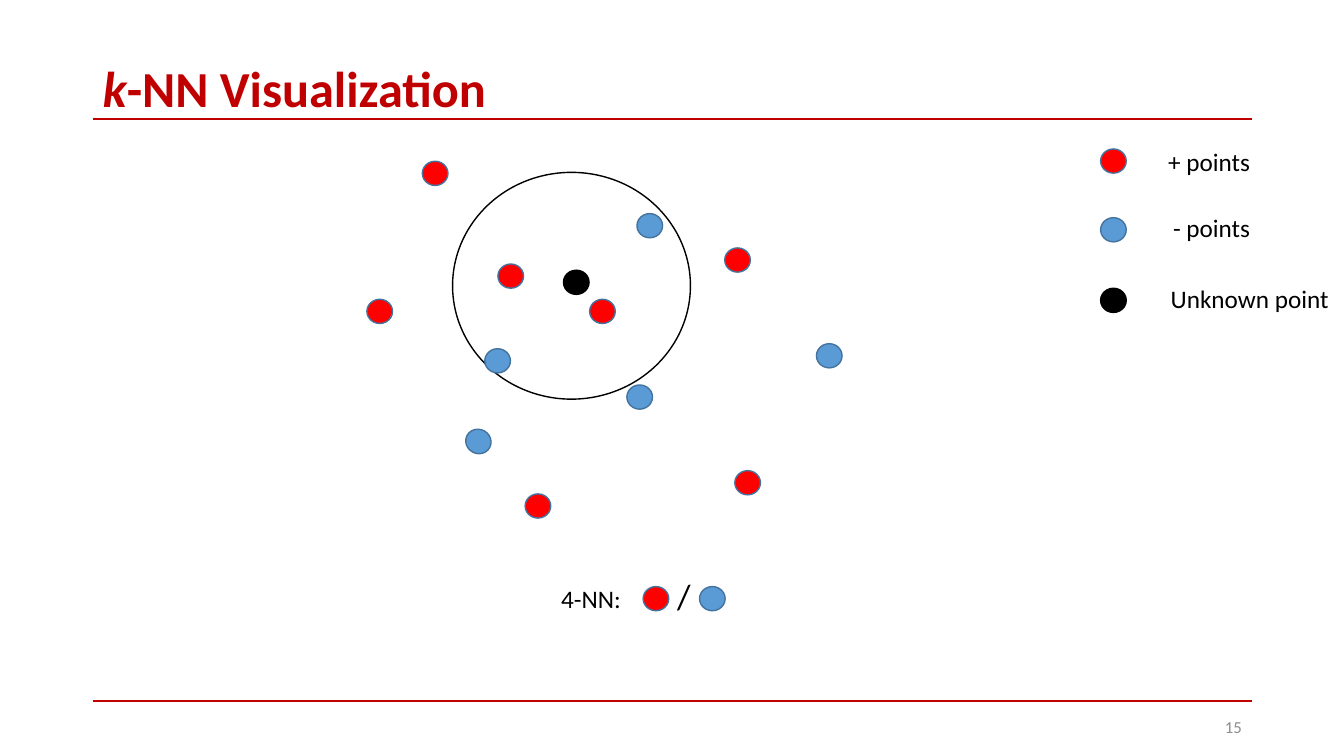
from pptx import Presentation
from pptx import util as u
from pptx.dml.color import RGBColor
from pptx.enum import shapes, text
from pptx.oxml.ns import qn
from lxml import etree

RED, BLUE, BLACK, OUTLINE, CRIMSON = "FF0000", "5B9BD5", "000000", "43739E", "C00000"


def paint(target, color):
    if hasattr(target, "solid"):
        target.solid()
        target.fore_color.rgb = RGBColor.from_string(color)
    else:
        target.rgb = RGBColor.from_string(color)


def add_label(page, bounds, runs, size, color, align, anchor):
    box = page.shapes.add_textbox(*[u.Pt(value) for value in bounds])
    box.text_frame.word_wrap = True
    box.text_frame.vertical_anchor = anchor
    para = box.text_frame.paragraphs[0]
    para.alignment = align
    for words in runs:
        para.add_run().text = words
    para.font.name = "Calibri"
    para.font.size = u.Pt(size)
    paint(para.font.color, color)
    return para


LEFT, RIGHT = text.PP_ALIGN.LEFT, text.PP_ALIGN.RIGHT
TOP, MIDDLE = text.MSO_ANCHOR.TOP, text.MSO_ANCHOR.MIDDLE

deck = Presentation()
deck.slide_width, deck.slide_height = u.Pt(960), u.Pt(540)
page = deck.slides.add_slide(deck.slide_layouts[6])

for y in (85, 500.4):
    rule = page.shapes.add_connector(
        shapes.MSO_CONNECTOR.STRAIGHT, u.Pt(66.2), u.Pt(y), u.Pt(894.2), u.Pt(y))
    paint(rule.line.fill, CRIMSON)
    rule.line.width = u.Pt(1.5)
    etree.SubElement(rule.element.spPr, qn("a:effectLst"))

title = add_label(page, (66.2, 43.9, 828, 41.8), ("k", "-NN Visualization"),
                  36, CRIMSON, LEFT, MIDDLE)
title.font.bold = True
title.line_spacing = 0.9
title.runs[0].font.italic = True
add_label(page, (678.2, 504.7, 216, 28.8), ("15",), 12, "8C8C8C", RIGHT, MIDDLE)

neighbourhood = (323.3, 123.1, 169.9, 162, "FFFFFF", BLACK)
data_points = {
    RED: [(355.7, 188.6), (517.7, 177.1), (421.2, 213.8), (301.7, 115.2),
          (375.1, 352.8), (524.9, 336.2), (262.1, 213.8)],
    BLUE: [(583.2, 245.5), (455, 152.6), (332.6, 306.7), (447.8, 275), (346.3, 249.1)],
    BLACK: [(402.5, 193)],
}
legend = [
    ("+ points", RED, 106.4, 100.8, 74.9),
    ("- points", BLUE, 155.5, 148.3, 74.9),
    ("Unknown point", BLACK, 205.9, 198.7, 131),
]
for words, color, dot_y, label_y, width in legend:
    data_points[color].append((786.2, dot_y))
    add_label(page, (825.1, label_y, width, 28.8), (words,), 18, BLACK, RIGHT, TOP)
data_points[RED].append((459.4, 419))
data_points[BLUE].append((499.7, 419))

ellipses = [neighbourhood]
for color, places in data_points.items():
    outline = BLACK if color == BLACK else OUTLINE
    ellipses += [(x, y, 18.3, 17.3, color, outline) for x, y in places]

for x, y, width, height, color, outline in ellipses:
    ellipse = page.shapes.add_shape(
        shapes.MSO_SHAPE.OVAL, u.Pt(x), u.Pt(y), u.Pt(width), u.Pt(height))
    ellipse.shadow.inherit = False
    paint(ellipse.fill, color)
    paint(ellipse.line.fill, outline)
    ellipse.line.width = u.Pt(1)
    if (x, y) == (332.6, 306.7):
        ellipse.rotation = 28.4

add_label(page, (393.8, 413.3, 67.7, 28.8), ("4-NN:",), 18, BLACK, LEFT, TOP)
add_label(page, (476.6, 406.8, 20.2, 37.4), ("/",), 25, BLACK, LEFT, TOP)

deck.save("out.pptx")
